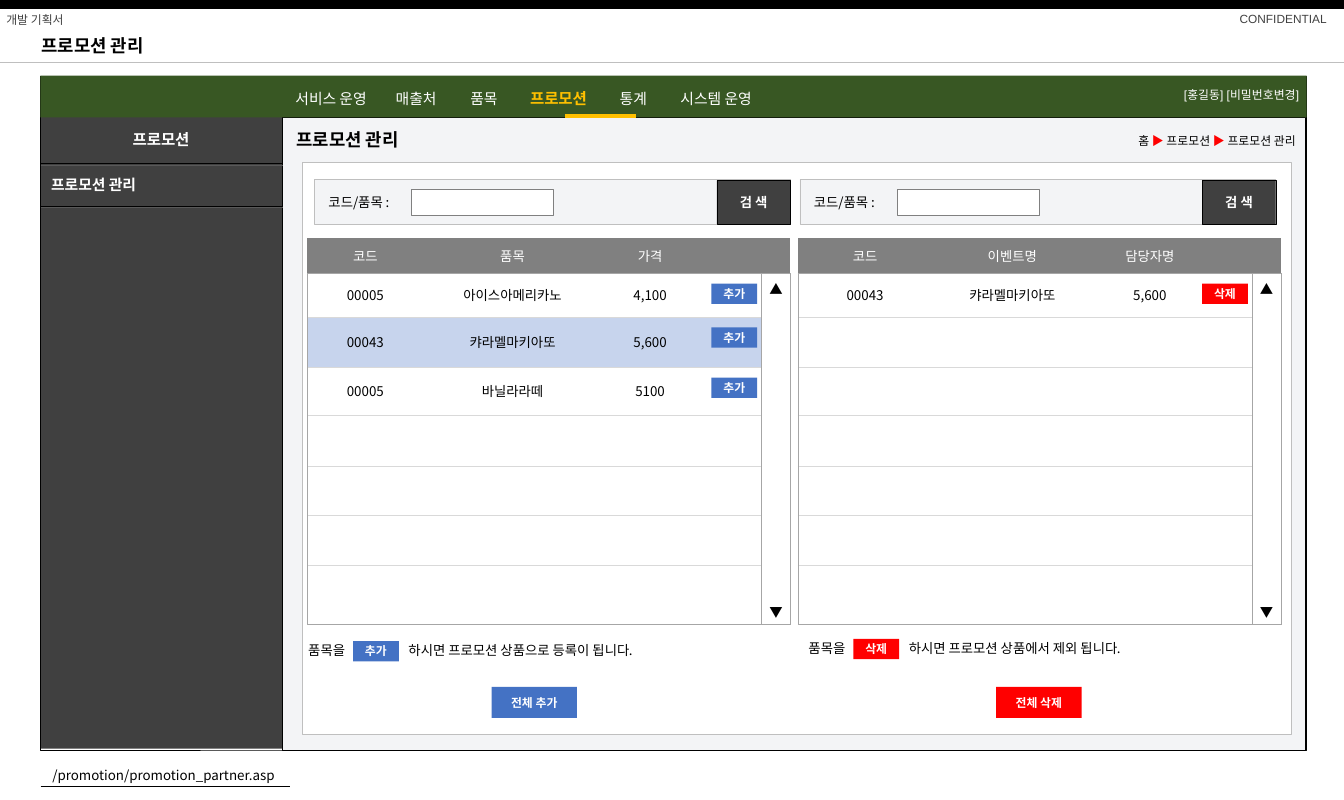
from dataclasses import dataclass
from itertools import accumulate
from typing import NamedTuple

from lxml import etree
from pptx import Presentation
from pptx.dml.color import RGBColor
from pptx.enum.shapes import MSO_CONNECTOR, MSO_SHAPE
from pptx.enum.text import MSO_ANCHOR, MSO_AUTO_SIZE, PP_ALIGN
from pptx.oxml.ns import qn
from pptx.util import Pt

EMU_PER_PX = 9144  # 100 px to the inch
RECTANGLE = MSO_SHAPE.RECTANGLE
STRAIGHT = MSO_CONNECTOR.STRAIGHT
MIDDLE = MSO_ANCHOR.MIDDLE
LEFT, CENTER, RIGHT = PP_ALIGN.LEFT, PP_ALIGN.CENTER, PP_ALIGN.RIGHT
NO_GRID_STYLE = "{2D5ABB26-0587-4C30-8999-92F81FD0307C}"


@dataclass(frozen=True)
class Theme:
    black: str = "000000"
    white: str = "FFFFFF"
    dark: str = "404040"
    groove: str = "595959"
    grey: str = "808080"
    frame: str = "A6A6A6"
    border: str = "BFBFBF"
    row_line: str = "D9D9D9"
    pale: str = "F3F4F6"
    green: str = "385723"
    amber: str = "FFC000"
    blue: str = "4472C4"
    selected: str = "C7D4ED"
    red: str = "FF0000"
    small: float = 8
    body: float = 9
    menu: float = 10
    strong: float = 10.5
    title: float = 12
    hairline: float = 0.25
    heading_font: str = "Arial"
    button_font: str = "Calibri"
    body_font: str = "Noto Sans CJK KR"


THEME = Theme()


class Box(NamedTuple):
    left: int
    top: int
    width: int
    height: int


class Run(NamedTuple):
    text: str
    color: str


@dataclass(frozen=True)
class Panel:
    search_left: int
    table_left: int
    columns: tuple[int, ...]
    rows: tuple[tuple[str, ...], ...]
    action: str
    color: str
    note_left: int
    note_top: int
    note: str
    all_left: int
    selected_row: int = 0


TABLE_TOP = 223
ROW_HEIGHTS = (33, 41, 47, 45, 48, 46, 47, 55)
ROW_TOPS = list(accumulate(ROW_HEIGHTS, initial=TABLE_TOP))
SCROLL_WIDTH = 27

PANELS = (
    Panel(295, 288, (109, 167, 91, 59, SCROLL_WIDTH),
          (("코드", "품목", "가격"), ("00005", "아이스아메리카노", "4,100"),
           ("00043", "캬라멜마키아또", "5,600"), ("00005", "바닐라라떼", "5100")),
          "추가", THEME.blue, 289, 597, "하시면 프로모션 상품으로 등록이 됩니다.", 461, 2),
    Panel(750, 748, (126, 150, 108, 42, SCROLL_WIDTH),
          (("코드", "이벤트명", "담당자명"), ("00043", "캬라멜마키아또", "5,600")),
          "삭제", THEME.red, 758, 595, "하시면 프로모션 상품에서 제외 됩니다.", 934),
)
MENU = ((277, "서비스 운영"), (371, "매출처"), (441, "품목"),
        (497, "프로모션"), (581, "통계"), (638, "시스템 운영"))
CURRENT_MENU = "프로모션"


def px(length: int) -> int:
    return length * EMU_PER_PX


def rgb(color: str) -> RGBColor:
    return RGBColor.from_string(color)


def write(frame, text: str | tuple[Run, ...], *, size: float = THEME.body,
          color: str = THEME.black, font: str = THEME.body_font,
          bold: bool = False, align: PP_ALIGN = LEFT) -> None:
    paragraph = frame.paragraphs[0]
    paragraph.alignment = align
    for part in (Run(text, color),) if isinstance(text, str) else text:
        run = paragraph.add_run()
        run.text = part.text
        run.font.size, run.font.bold, run.font.name = Pt(size), bold, font
        run.font.color.rgb = rgb(part.color)
        east_asian = etree.SubElement(run.font._element, qn("a:ea"))
        east_asian.set("typeface", THEME.body_font)


def fit_frame(frame) -> None:
    """Centre the text vertically, wrap it and drop the insets."""
    frame.auto_size = MSO_AUTO_SIZE.NONE
    frame.word_wrap = True
    frame.vertical_anchor = MIDDLE
    frame.margin_left = frame.margin_right = frame.margin_top = frame.margin_bottom = 0


def add_text(slide, box: Box, text: str | tuple[Run, ...], **text_format) -> None:
    frame = slide.shapes.add_textbox(*map(px, box)).text_frame
    fit_frame(frame)
    write(frame, text, **text_format)


def add_rectangle(slide, box: Box, fill: str | None = None, line: str | None = None):
    shape = slide.shapes.add_shape(RECTANGLE, *map(px, box))
    shape.shadow.inherit = False
    if fill:
        shape.fill.solid()
        shape.fill.fore_color.rgb = rgb(fill)
    else:
        shape.fill.background()
    if line:
        shape.line.color.rgb = rgb(line)
        shape.line.width = Pt(THEME.hairline)
    else:
        shape.line.fill.background()
    return shape


def add_button(slide, box: Box, text: str, fill: str, line: str | None = None,
               size: float = THEME.small) -> None:
    frame = add_rectangle(slide, box, fill, line).text_frame
    fit_frame(frame)
    write(frame, text, size=size, color=THEME.white, font=THEME.button_font,
          bold=True, align=CENTER)


def add_rule(slide, left: int, right: int, top: int, color: str,
             width: float = THEME.hairline) -> None:
    rule = slide.shapes.add_connector(STRAIGHT, px(left), px(top), px(right), px(top))
    rule.line.color.rgb = rgb(color)
    rule.line.width = Pt(width)
    etree.SubElement(rule._element.spPr, qn("a:effectLst"))


def underline_cell(cell, color: str) -> None:
    border = etree.Element(qn("a:lnB"), w=str(Pt(THEME.hairline)))
    fill = etree.SubElement(border, qn("a:solidFill"))
    etree.SubElement(fill, qn("a:srgbClr"), val=color)
    cell._tc.get_or_add_tcPr().insert(0, border)


def add_item_table(slide, panel: Panel) -> None:
    box = Box(panel.table_left, TABLE_TOP, sum(panel.columns), sum(ROW_HEIGHTS))
    table = slide.shapes.add_table(len(ROW_HEIGHTS), len(panel.columns), *map(px, box)).table
    table._tbl.tblPr.find(qn("a:tableStyleId")).text = NO_GRID_STYLE
    table.horz_banding = False
    for column, width in zip(table.columns, panel.columns):
        column.width = px(width)
    for index, height in enumerate(ROW_HEIGHTS):
        table.rows[index].height = px(height)
        header = index == 0
        fill = THEME.grey if header else THEME.white
        if index and index == panel.selected_row:
            fill = THEME.selected
        for cell in table.rows[index].cells:
            cell.margin_left = cell.margin_right = cell.margin_top = cell.margin_bottom = 0
            cell.vertical_anchor = MIDDLE
            cell.fill.solid()
            cell.fill.fore_color.rgb = rgb(fill)
            underline_cell(cell, THEME.grey if header else THEME.row_line)
        for column, text in enumerate(panel.rows[index] if index < len(panel.rows) else ()):
            write(table.cell(index, column).text_frame, text, align=CENTER,
                  color=THEME.white if header else THEME.black)


def add_panel(slide, panel: Panel) -> None:
    left = panel.search_left
    add_rectangle(slide, Box(left, 168, 446, 42), THEME.pale, THEME.border)
    add_text(slide, Box(left + 13, 177, 77, 25), "코드/품목 :")
    add_rectangle(slide, Box(left + 91, 177, 133, 25), THEME.white, THEME.grey)
    add_button(slide, Box(left + 377, 169, 69, 41), "검 색", THEME.dark, THEME.black, THEME.body)

    add_item_table(slide, panel)
    width, body_top = sum(panel.columns), ROW_TOPS[1]
    body_height = ROW_TOPS[-1] - body_top
    scroll_left = panel.table_left + width - SCROLL_WIDTH
    add_rectangle(slide, Box(panel.table_left, body_top, width, body_height), line=THEME.frame)
    add_rectangle(slide, Box(scroll_left, body_top, SCROLL_WIDTH, body_height),
                  THEME.white, THEME.frame)
    for arrow, top in (("▲", 259), ("▼", 561)):
        add_text(slide, Box(scroll_left, top, SCROLL_WIDTH, 25), arrow, align=CENTER)
    for row_top in ROW_TOPS[1:len(panel.rows)]:
        add_button(slide, Box(scroll_left - 47, row_top + 10, 43, 19), panel.action, panel.color)

    left, top = panel.note_left, panel.note_top
    add_text(slide, Box(left, top, 40, 25), "품목을")
    add_button(slide, Box(left + 42, top + 4, 43, 19), panel.action, panel.color)
    add_text(slide, Box(left + 94, top, 260, 25), panel.note)
    add_button(slide, Box(panel.all_left, 644, 80, 29), f"전체 {panel.action}", panel.color)


def add_page_frame(slide) -> None:
    add_rule(slide, 0, 1260, 4, THEME.black, 6)
    add_rule(slide, 0, 1260, 58, THEME.border)
    heading = {"size": THEME.small, "font": THEME.heading_font}
    add_text(slide, Box(6, 12, 100, 13), "개발 기획서", color=THEME.dark, **heading)
    add_text(slide, Box(937, 11, 307, 13), "CONFIDENTIAL", color=THEME.dark, align=RIGHT, **heading)
    add_rectangle(slide, Box(38, 109, 228, 593), THEME.dark)
    add_rectangle(slide, Box(38, 71, 1187, 632), line=THEME.black)
    add_rectangle(slide, Box(265, 110, 959, 593), THEME.pale, THEME.black)
    add_rectangle(slide, Box(38, 71, 1187, 39), THEME.green)
    add_text(slide, Box(1068, 77, 150, 24), "[홍길동] [비밀번호변경]",
             color=THEME.white, align=RIGHT, **heading)
    add_rule(slide, 38, 272, 737, THEME.black)
    add_text(slide, Box(49, 714, 219, 25), "/promotion/promotion_partner.asp")


def add_navigation(slide) -> None:
    for left, label in MENU:
        current = label == CURRENT_MENU
        add_text(slide, Box(left, 78, 90, 28), label, font=THEME.heading_font, bold=current,
                 size=THEME.strong if current else THEME.menu,
                 color=THEME.amber if current else THEME.white)
    add_rule(slide, 530, 596, 109, THEME.amber, 3)
    sidebar = {"color": THEME.white, "font": THEME.heading_font, "bold": True}
    add_text(slide, Box(39, 116, 224, 29), "프로모션", size=THEME.strong, align=CENTER, **sidebar)
    add_text(slide, Box(48, 160, 207, 27), "프로모션 관리", size=THEME.menu, **sidebar)
    for dark_top, light_top in ((153, 155), (193, 194)):
        add_rule(slide, 38, 265, dark_top, THEME.black)
        add_rule(slide, 38, 265, light_top, THEME.groove)


def main() -> None:
    presentation = Presentation()
    presentation.slide_width, presentation.slide_height = px(1260), px(750)
    slide = presentation.slides.add_slide(presentation.slide_layouts[5])
    title_format = {"size": THEME.title, "font": THEME.heading_font, "bold": True}
    title = slide.shapes.title
    title.left, title.top, title.width, title.height = map(px, Box(39, 28, 200, 30))
    fit_frame(title.text_frame)
    write(title.text_frame, "프로모션 관리", **title_format)

    add_page_frame(slide)
    add_navigation(slide)
    add_text(slide, Box(278, 116, 200, 30), "프로모션 관리", **title_format)
    arrow = Run("▶ ", THEME.red)
    trail = (Run("홈 ", THEME.black), arrow, Run("프로모션 ", THEME.black), arrow,
             Run("프로모션 관리", THEME.black))
    add_text(slide, Box(1015, 120, 200, 24), trail, size=THEME.small, align=RIGHT)
    add_rectangle(slide, Box(283, 152, 928, 536), THEME.white, THEME.border)
    for panel in PANELS:
        add_panel(slide, panel)
    presentation.save("out.pptx")


if __name__ == "__main__":
    main()
